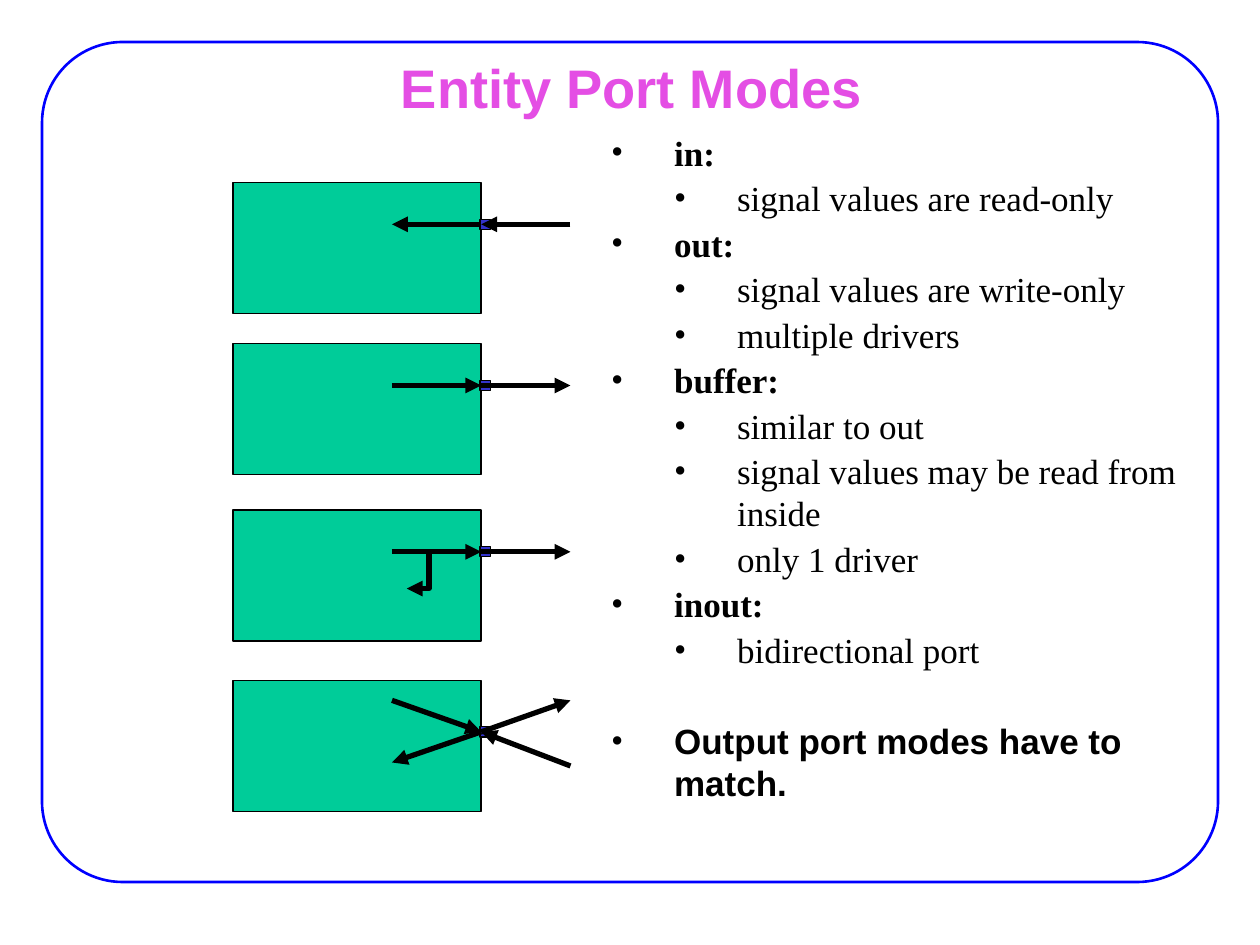
from lxml.etree import SubElement
from pptx import Presentation
from pptx.dml.color import RGBColor
from pptx.enum.shapes import MSO_CONNECTOR as Connector, MSO_SHAPE as Shape
from pptx.enum.text import MSO_ANCHOR as Anchor, MSO_AUTO_SIZE as AutoSize, PP_ALIGN as Align
from pptx.oxml.ns import qn
from pptx.util import Pt

COLORS = {"frame": "0000FF", "title": "E44EE4", "text": "000000",
          "entity": "00CC99", "port": "3333CC", "line": "000000"}

TITLE = "Entity Port Modes"
MODES = [
    ("in:", ["signal values are read-only"]),
    ("out:", ["signal values are write-only", "multiple drivers"]),
    ("buffer:", ["similar to out", "signal values may be read from inside", "only 1 driver"]),
    ("inout:", ["bidirectional port"]),
]
CONCLUSION = "Output port modes have to match."

# Diagram columns: entity left edge, arrow start, port, arrow end
ENTITY_LEFT, INSIDE, PORT, OUTSIDE = 133.2, 224, 275, 326
ENTITY_WIDTH, ENTITY_HEIGHT, PORT_SIZE = 141.8, 74.9, 5.8

# Each entity: top, port offset below the top, arrows as (x, offset from port) pairs
ENTITIES = [
    (104.4, 23.8, [((OUTSIDE, 0), (PORT, 0)), ((PORT, 0), (INSIDE, 0))]),
    (196.5, 23.8, [((INSIDE, 0), (PORT, 0)), ((PORT, 0), (OUTSIDE, 0))]),
    (291.5, 23.8, [((INSIDE, 0), (PORT, 0)), ((PORT, 0), (OUTSIDE, 0)),
                   ((258, 0), (232.5, 21))]),
    (389, 29.2, [((INSIDE, -18), (PORT, 0)), ((PORT, 0), (OUTSIDE, -18)),
                 ((PORT, 0), (INSIDE, 17.5)), ((OUTSIDE, 19.5), (PORT, 0))]),
]


def color(name):
    return RGBColor.from_string(COLORS[name])


def place(shape, left, top, width, height):
    shape.left, shape.top, shape.width, shape.height = map(Pt, (left, top, width, height))


def add_box(kind, bounds, fill, line, line_width):
    shape = slide.shapes.add_shape(kind, *map(Pt, bounds))
    shape.shadow.inherit = False
    if fill:
        shape.fill.solid()
        shape.fill.fore_color.rgb = color(fill)
    else:
        shape.fill.background()
    shape.line.color.rgb = color(line)
    shape.line.width = Pt(line_width)
    return shape


def add_arrow(start, end):
    bent = start[0] not in (INSIDE, PORT, OUTSIDE)
    kind = Connector.ELBOW if bent else Connector.STRAIGHT
    arrow = slide.shapes.add_connector(kind, *map(Pt, (*start, *end)))
    arrow.line.color.rgb = color("line")
    arrow.line.width = Pt(3)
    SubElement(arrow.line._get_or_add_ln(), qn("a:tailEnd"), type="triangle")
    SubElement(arrow._element.spPr, qn("a:effectLst"))


def add_text(paragraph, text, size, font, name, bold):
    run = paragraph.add_run()
    run.text = text
    run.font.size, run.font.name, run.font.bold = Pt(size), font, bold
    run.font.color.rgb = color(name)


def add_item(frame, text, level=0, font="Times New Roman", space=2):
    first = not frame.paragraphs[0].runs
    paragraph = frame.paragraphs[0] if first else frame.add_paragraph()
    paragraph.level = level
    paragraph.alignment = Align.LEFT
    paragraph.space_before = Pt(0 if first else space)
    properties = paragraph._p.get_or_add_pPr()
    properties.set("marL", str(Pt(36 * (level + 1))))
    properties.set("indent", str(Pt(-36)))
    SubElement(properties, qn("a:buFont"), typeface="Times New Roman")
    SubElement(properties, qn("a:buChar"), char="•")
    add_text(paragraph, text, 20, font, "text", level == 0)


presentation = Presentation()
presentation.slide_width, presentation.slide_height = Pt(720), Pt(540)
slide = presentation.slides.add_slide(presentation.slide_layouts[1])

# Frame
frame = add_box(Shape.ROUNDED_RECTANGLE, (24, 24, 672, 480), None, "frame", 1.5)
frame.adjustments[0] = 0.096

# Title
title = slide.shapes.title
place(title, 54.7, 31.7, 612, 35.3)
title.text_frame.auto_size = AutoSize.NONE
title.text_frame.vertical_anchor = Anchor.MIDDLE
title.text_frame.paragraphs[0].alignment = Align.CENTER
add_text(title.text_frame.paragraphs[0], TITLE, 31, "Arial", "title", True)

# Port modes list
body = slide.placeholders[1]
place(body, 342, 71.3, 347, 426.2)
body.text_frame.auto_size = AutoSize.NONE
body.text_frame.vertical_anchor = Anchor.TOP
for mode, details in MODES:
    add_item(body.text_frame, mode)
    for detail in details:
        add_item(body.text_frame, detail, level=1)
add_item(body.text_frame, CONCLUSION, font="Arial", space=28)

# Entities with their ports and arrows
for top, port_offset, arrows in ENTITIES:
    port_y = top + port_offset
    add_box(Shape.RECTANGLE, (ENTITY_LEFT, top, ENTITY_WIDTH, ENTITY_HEIGHT),
            "entity", "line", 0.75)
    add_box(Shape.RECTANGLE, (PORT - 0.7, port_y - PORT_SIZE / 2, PORT_SIZE, PORT_SIZE),
            "port", "line", 0.75)
    for (start_x, start_dy), (end_x, end_dy) in arrows:
        add_arrow((start_x, port_y + start_dy), (end_x, port_y + end_dy))

presentation.save("out.pptx")
